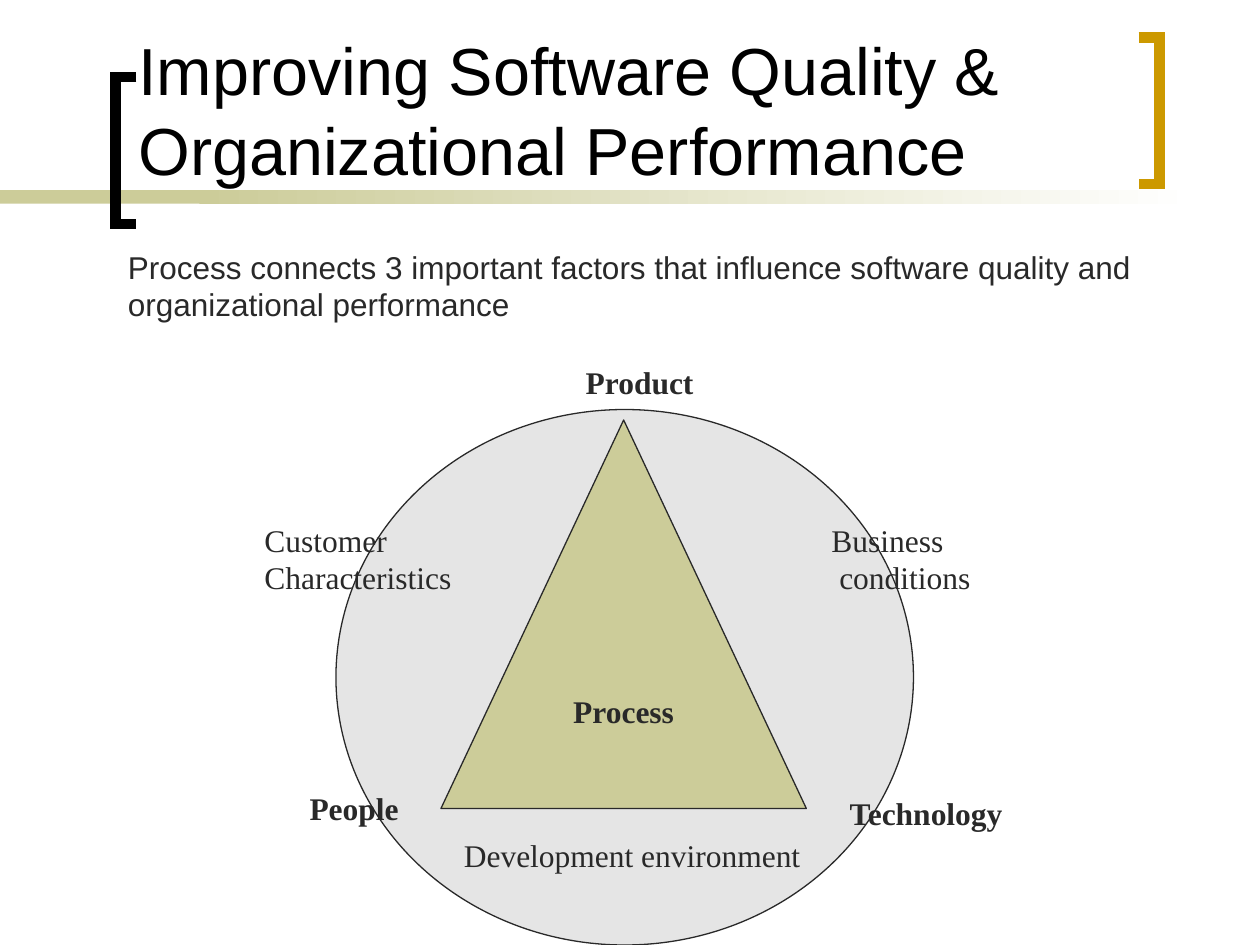
"""Build the slide on software quality and organizational performance."""
from typing import NamedTuple

from lxml import etree
from pptx import Presentation
from pptx.dml.color import RGBColor
from pptx.enum.shapes import MSO_SHAPE
from pptx.enum.text import MSO_ANCHOR, PP_ALIGN
from pptx.oxml.ns import qn
from pptx.util import Inches, Pt

RECT, OVAL, PEAK = MSO_SHAPE.RECTANGLE, MSO_SHAPE.OVAL, MSO_SHAPE.ISOSCELES_TRIANGLE
TOP, MID, BASE = MSO_ANCHOR.TOP, MSO_ANCHOR.MIDDLE, MSO_ANCHOR.BOTTOM
LEFT, MIDST = PP_ALIGN.LEFT, PP_ALIGN.CENTER
BLACK = RGBColor(0x00, 0x00, 0x00)
WHITE = RGBColor(0xFF, 0xFF, 0xFF)
INK = RGBColor(0x29, 0x29, 0x29)
SAGE = RGBColor(0xCC, 0xCC, 0x99)
GOLD = RGBColor(0xCC, 0x99, 0x00)
GREY = RGBColor(0xC0, 0xC0, 0xC0)
SANS, SERIF = "Arial", "Times New Roman"
WIDE, HIGH = Inches(10), Inches(7.5)
COLS, ROWS = 120, 90


class Box(NamedTuple):
    """Place and size in grid columns and rows."""
    col: float
    row: float
    wide: float
    high: float

    def spans(self) -> list[int]:
        """Return left, top, width and height as lengths."""
        cell, line = WIDE / COLS, HIGH / ROWS
        return [round(self.col * cell), round(self.row * line),
                round(self.wide * cell), round(self.high * line)]


class Label(NamedTuple):
    """A factor named around the triangle."""
    lines: tuple[str, ...]
    box: Box
    bold: bool = False
    dent: float = 0


class Brace(NamedTuple):
    """A square bracket, open to the right or to the left."""
    box: Box
    color: RGBColor
    right: bool


BRACES = [
    Brace(Box(11, 7.35, 2, 14), BLACK, True),
    Brace(Box(108.45, 3.55, 2, 14), GOLD, False),
]
LABELS = [
    Label(("People",), Box(28.3, 74.55, 11.2, 4.8), True),
    Label(("Technology",), Box(79.75, 75, 17.5, 4.8), True),
    Label(("Product",), Box(54.6, 34, 13, 4.8), True),
    Label(("Customer", "Characteristics"), Box(24, 49, 20.5, 8.4)),
    Label(("Business", "conditions"), Box(78, 49, 16.5, 8.4), dent=4.5),
    Label(("Development environment",), Box(43, 79, 35.5, 4.8)),
]


def write(shape, *lines: str, size: float = 18, font: str = SERIF,
          color: RGBColor = INK, bold: bool = False, wrap: bool = False,
          align=LEFT, anchor=TOP, dent: float = 0) -> None:
    """Set the lines of a shape, indenting those after the first."""
    frame = shape.text_frame
    frame.word_wrap = wrap
    frame.vertical_anchor = anchor
    for rank, line in enumerate(lines):
        para = frame.paragraphs[0] if rank == 0 else frame.add_paragraph()
        para.alignment = align
        if rank and dent:
            para._p.get_or_add_pPr().set("marL", str(Pt(dent)))
        run = para.add_run()
        run.text = line
        run.font.size = Pt(size)
        run.font.name = font
        run.font.bold = bold
        run.font.color.rgb = color


def text(slide, box: Box, *lines: str, **style) -> None:
    """Add a text box."""
    write(slide.shapes.add_textbox(*box.spans()), *lines, **style)


def solid(slide, kind, box: Box, fill: RGBColor, edge: RGBColor | None = None):
    """Add a filled shape with an optional thin edge."""
    shape = slide.shapes.add_shape(kind, *box.spans())
    shape.shadow.inherit = False
    shape.fill.solid()
    shape.fill.fore_color.rgb = fill
    if edge is None:
        shape.line.fill.background()
    else:
        shape.line.color.rgb = edge
        shape.line.width = Pt(0.75)
    return shape


def fade(shape, start: RGBColor, end: RGBColor) -> None:
    """Blend a shape from left to right."""
    shape.fill.gradient()
    shape.fill.gradient_angle = 0
    for stop, color in zip(shape.fill.gradient_stops, (start, end)):
        stop.color.rgb = color


def thin(shape, share: int) -> None:
    """Make a solid fill opaque by a percentage only."""
    color = shape._element.spPr.find(qn("a:solidFill"))[0]
    etree.SubElement(color, qn("a:alpha")).set("val", str(share * 1000))


def draw(slide, brace: Brace) -> None:
    """Draw a bracket as one open line."""
    left, top, wide, high = brace.box.spans()
    tip, back = (left + wide, left) if brace.right else (left, left + wide)
    path = slide.shapes.build_freeform(tip, top)
    path.add_line_segments([(back, top), (back, top + high), (tip, top + high)], close=False)
    shape = path.convert_to_shape()
    shape.shadow.inherit = False
    shape.fill.background()
    shape.line.color.rgb = brace.color
    shape.line.width = Pt(6)
    etree.SubElement(shape.line._ln, qn("a:miter")).set("lim", "800000")


def main() -> None:
    """Build and save the slide."""
    deck = Presentation()
    deck.slide_width, deck.slide_height = WIDE, HIGH
    slide = deck.slides.add_slide(deck.slide_layouts[6])
    solid(slide, RECT, Box(0, 18.1, 28, 1.3), SAGE)
    fade(solid(slide, RECT, Box(19, 18.1, 95, 1.3), SAGE), SAGE, WHITE)
    for brace in BRACES:
        draw(slide, brace)
    text(slide, Box(12, 0, 94, 18.55), "Improving Software Quality & Organizational Performance",
         size=38, font=SANS, color=BLACK, wrap=True, anchor=BASE)
    thin(solid(slide, OVAL, Box(32, 39, 55, 51), GREY, INK), 40)
    peak = solid(slide, PEAK, Box(42, 40, 34.8, 37), SAGE, INK)
    write(peak, "Process", bold=True, align=MIDST, anchor=MID)
    for label in LABELS:
        text(slide, label.box, *label.lines, bold=label.bold, dent=label.dent)
    text(slide, Box(11, 23, 104, 8.4), "Process connects 3 important factors that influence "
         "software quality and organizational performance", font=SANS, wrap=True)
    deck.save("out.pptx")


if __name__ == "__main__":
    main()
